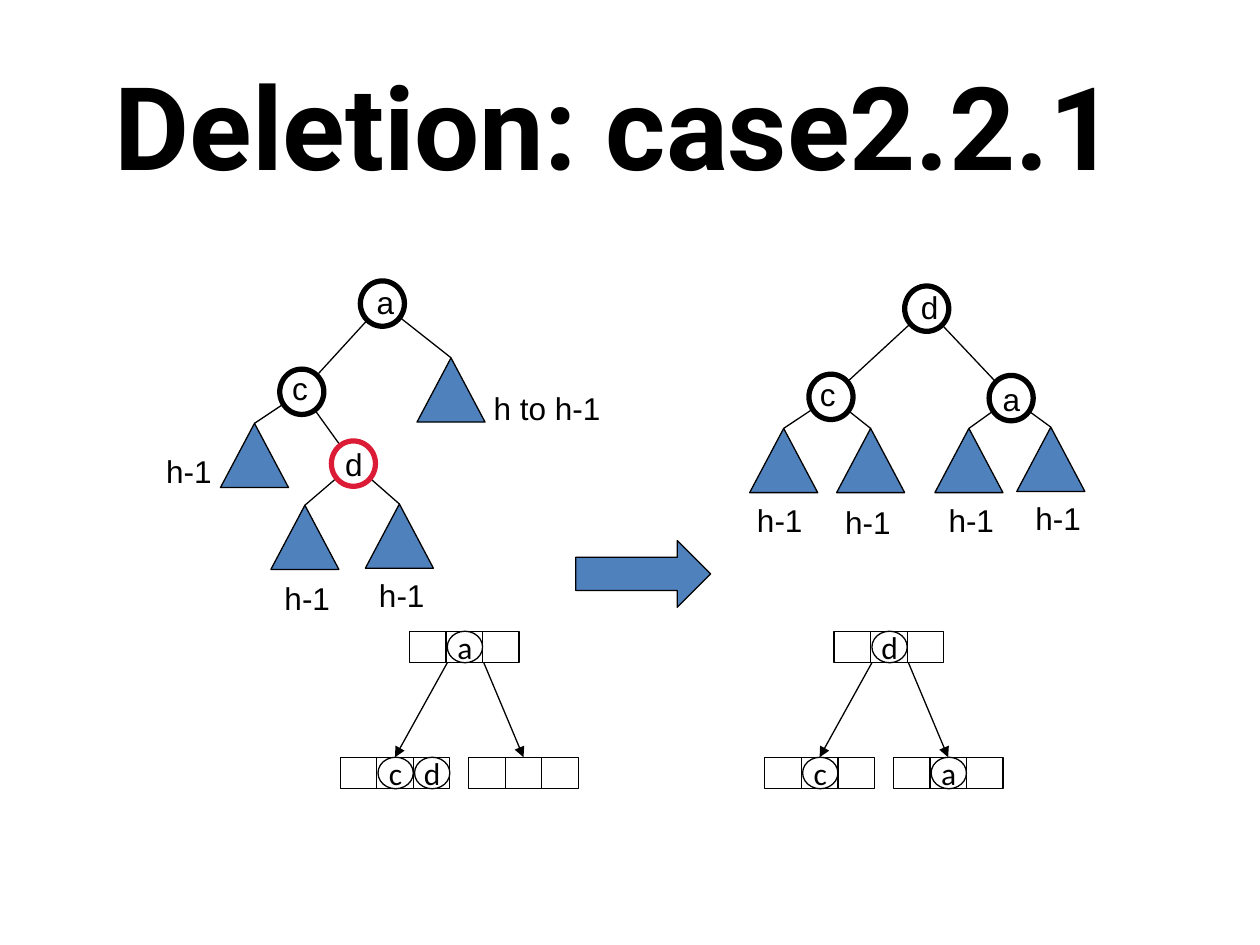
from dataclasses import dataclass

from lxml.etree import SubElement
from pptx import Presentation
from pptx.dml.color import RGBColor
from pptx.enum.shapes import MSO_CONNECTOR as Connector, MSO_SHAPE as Shape
from pptx.enum.text import MSO_ANCHOR as Anchor, MSO_AUTO_SIZE as AutoSize, PP_ALIGN as Align
from pptx.oxml.ns import qn
from pptx.util import Inches, Pt


@dataclass(frozen=True)
class Theme:
    """Colours, fonts and sizes of the slide."""
    ink: RGBColor = RGBColor(0, 0, 0)
    paper: RGBColor = RGBColor(255, 255, 255)
    blue: RGBColor = RGBColor(0x4F, 0x81, 0xBD)
    red: RGBColor = RGBColor(0xDC, 0x1C, 0x36)
    title_font: str = "Roboto"
    tree_font: str = "Arial"
    cell_font: str = "Calibri"
    title_size: int = 66
    body_size: int = 18
    thin: float = 0.75
    thick: float = 3


THEME = Theme()
NODE_W, NODE_H = 0.35, 0.36
LEAF_W, LEAF_H = 0.54, 0.51
CELL_W, CELL_H = 0.29, 0.25
BUBBLE_W = 0.28


@dataclass
class Leaf:
    """A subtree triangle with its height label."""
    x: float
    y: float
    label_dx: float = 0.01
    label_dy: float = 0.53
    label: str = "h-1"

    def joint(self):
        """Return the apex, where an edge arrives."""
        return self.x + LEAF_W / 2, self.y


@dataclass
class Node:
    """A lettered tree node and its children."""
    letter: str
    x: float
    y: float
    children: tuple
    label_dx: float = 0.01
    label_dy: float = -0.03
    ring: RGBColor = THEME.ink

    def joint(self):
        """Return the centre, where edges meet."""
        return self.x + NODE_W / 2, self.y + NODE_H / 2


def add_run(frame, text, font, size, bold=False):
    """Write one run into the first paragraph of a frame."""
    run = frame.paragraphs[0].add_run()
    run.text = text
    run.font.name, run.font.size, run.font.bold = font, Pt(size), bold
    run.font.color.rgb = THEME.ink


def draw_shape(shapes, kind, x, y, w, h, fill=None, line=THEME.ink, weight=THEME.thin):
    """Draw an outlined preset shape, hollow unless a fill is given."""
    shape = shapes.add_shape(kind, Inches(x), Inches(y), Inches(w), Inches(h))
    shape.shadow.inherit = False
    if fill is None:
        shape.fill.background()
    else:
        shape.fill.solid()
        shape.fill.fore_color.rgb = fill
    shape.line.color.rgb, shape.line.width = line, Pt(weight)
    return shape


def draw_line(shapes, start, end, arrow=False):
    """Draw a thin straight line, with an arrowhead on request."""
    line = shapes.add_connector(Connector.STRAIGHT, *map(Inches, (*start, *end)))
    line.line.color.rgb, line.line.width = THEME.ink, Pt(THEME.thin)
    properties = line._element.spPr
    if arrow:
        SubElement(properties.find(qn("a:ln")), qn("a:tailEnd"), type="triangle")
    SubElement(properties, qn("a:effectLst"))
    return line


def draw_label(shapes, text, x, y, w):
    """Place a one-line tree label."""
    frame = shapes.add_textbox(Inches(x), Inches(y), Inches(w), Inches(0.4)).text_frame
    frame.word_wrap = False
    frame.auto_size = AutoSize.SHAPE_TO_FIT_TEXT
    add_run(frame, text, THEME.tree_font, THEME.body_size)


def draw_title(shapes, text, x, y, w, h):
    """Place the centred slide title."""
    frame = shapes.add_textbox(Inches(x), Inches(y), Inches(w), Inches(h)).text_frame
    frame.word_wrap = True
    frame.vertical_anchor = Anchor.MIDDLE
    frame.paragraphs[0].alignment = Align.CENTER
    add_run(frame, text, THEME.title_font, THEME.title_size, bold=True)


def draw_edges(shapes, node, left, top):
    """Draw all edges below a node."""
    x, y = node.joint()
    for child in node.children:
        child_x, child_y = child.joint()
        draw_line(shapes, (left + x, top + y), (left + child_x, top + child_y))
        if isinstance(child, Node):
            draw_edges(shapes, child, left, top)


def draw_parts(shapes, part, left, top):
    """Draw a node or leaf and everything below it."""
    x, y = left + part.x, top + part.y
    label_x, label_y = x + part.label_dx, y + part.label_dy
    if isinstance(part, Leaf):
        draw_shape(shapes, Shape.FLOWCHART_EXTRACT, x, y, LEAF_W, LEAF_H, THEME.blue)
        draw_label(shapes, part.label, label_x, label_y, 0.56 if part.label == "h-1" else 1.05)
        return
    draw_shape(shapes, Shape.OVAL, x, y, NODE_W, NODE_H, THEME.paper, part.ring, THEME.thick)
    draw_label(shapes, part.letter, label_x, label_y, 0.34)
    for child in part.children:
        draw_parts(shapes, child, left, top)


def draw_binary_tree(shapes, root, left, top):
    """Draw a binary tree, edges behind its nodes."""
    draw_edges(shapes, root, left, top)
    draw_parts(shapes, root, left, top)


def draw_cells(shapes, letters, x, y):
    """Draw a three-slot row with bubbles and return its middle slot."""
    row = shapes.add_group_shape().shapes
    slots = [draw_shape(row, Shape.RECTANGLE, x + i * CELL_W, y, CELL_W, CELL_H) for i in range(3)]
    for i, letter in enumerate(letters):
        if letter.strip():
            bubble = draw_shape(row, Shape.OVAL, x + i * CELL_W + 0.01, y, BUBBLE_W, CELL_H)
            frame = bubble.text_frame
            frame.word_wrap = False
            frame.vertical_anchor = Anchor.MIDDLE
            frame.paragraphs[0].alignment = Align.CENTER
            add_run(frame, letter, THEME.cell_font, THEME.body_size)
    return slots[1]


def draw_slot_tree(shapes, root, children, left, top):
    """Draw a root row with arrows to its two child rows."""
    root_x = left + 0.55
    draw_cells(shapes, root, root_x, top)
    for i, letters in enumerate(children):
        middle = draw_cells(shapes, letters, left + i * 1.02, top + 1)
        start = root_x + 0.3 + i * 0.29, top + CELL_H
        arrow = draw_line(shapes, start, (left, top + 1), arrow=True)
        arrow.end_connect(middle, 0)


def main():
    """Build and save the slide."""
    deck = Presentation()
    deck.slide_width, deck.slide_height = Inches(10), Inches(7.5)
    shapes = deck.slides.add_slide(deck.slide_layouts[6]).shapes

    low = Node("d", 1.43, 1.3, (Leaf(0.95, 1.81, label_dy=0.54), Leaf(1.7, 1.8, label_dy=0.52)),
               label_dy=-0.02, ring=THEME.red)
    left_c = Node("c", 1.02, 0.73, (Leaf(0.55, 1.16, -0.53, 0.18), low), 0, -0.05)
    before = Node("a", 1.66, 0.03, (left_c, Leaf(2.11, 0.64, 0.51, 0.2, "h to h-1")), 0.03)
    right_c = Node("c", 0.52, 0.77, (Leaf(0.05, 1.2, -0.04), Leaf(0.74, 1.2, -0.03, 0.54)),
                   -0.01, -0.04)
    right_a = Node("a", 1.95, 0.78, (Leaf(1.52, 1.2), Leaf(2.17, 1.19, 0.05, 0.52)), 0.01, -0.01)
    after = Node("d", 1.28, 0.07, (right_c, right_a), 0.03)

    draw_title(shapes, "Deletion: case2.2.1 ", 0.5, 0.36, 9, 1.25)
    draw_binary_tree(shapes, before, 1.2, 2.2)
    draw_binary_tree(shapes, after, 5.9, 2.2)
    draw_slot_tree(shapes, " a ", (" cd", "   "), 2.7, 5.01)
    draw_slot_tree(shapes, " d ", (" c ", " a "), 6.07, 5.01)
    draw_shape(shapes, Shape.RIGHT_ARROW, 4.57, 4.29, 1.07, 0.53, THEME.blue)
    deck.save("out.pptx")


if __name__ == "__main__":
    main()
